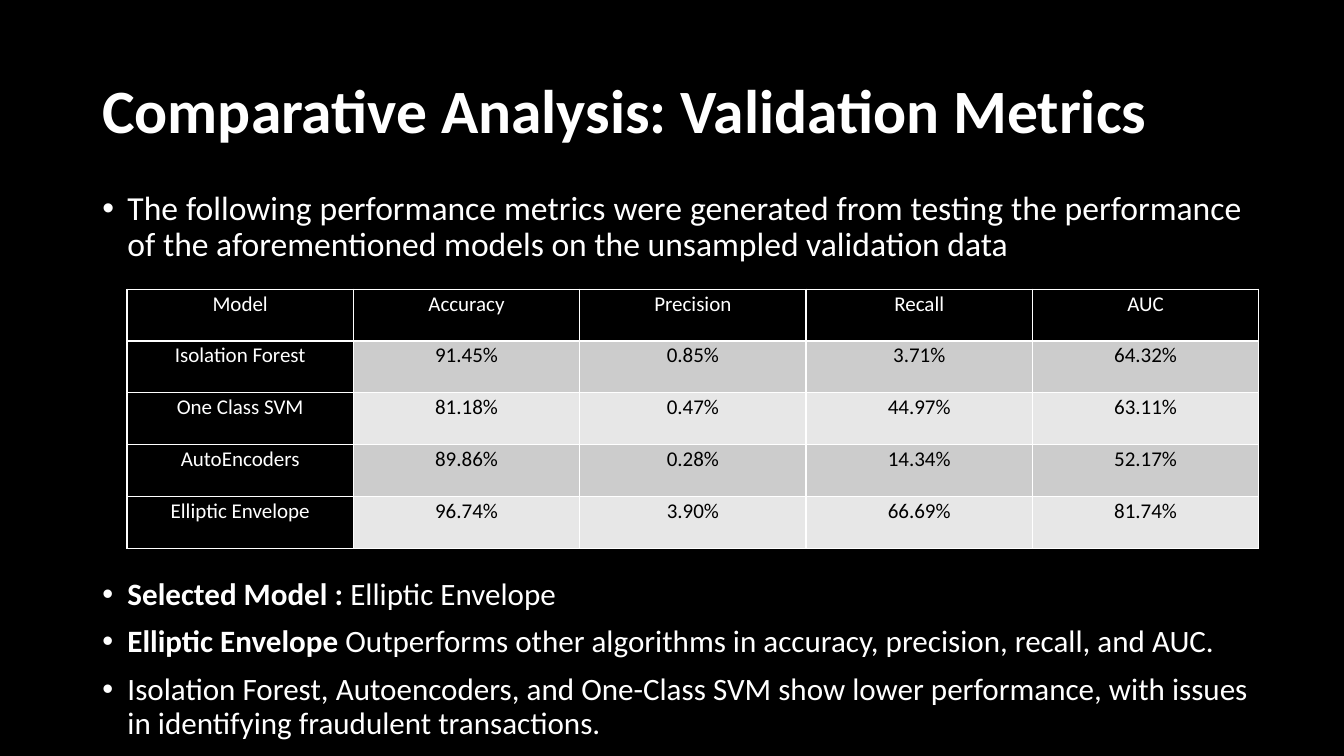
"""Build the slide that compares validation metrics of four models."""
from lxml import etree
from pptx import Presentation
from pptx.dml.color import RGBColor
from pptx.enum import text
from pptx.oxml import ns
from pptx.util import Pt

BLACK = RGBColor(0x00, 0x00, 0x00)
WHITE = RGBColor(0xFF, 0xFF, 0xFF)
DARK_BAND = RGBColor(0xCC, 0xCC, 0xCC)
LIGHT_BAND = RGBColor(0xE7, 0xE7, 0xE7)
FONT = "Calibri"
LEFT = 66
INDENT = 18
COLUMN_WIDTH = 161.7
ROW_HEIGHT = 37

METRICS = [
    ["Model", "Accuracy", "Precision", "Recall", "AUC"],
    ["Isolation Forest", "91.45%", "0.85%", "3.71%", "64.32%"],
    ["One Class SVM", "81.18%", "0.47%", "44.97%", "63.11%"],
    ["AutoEncoders", "89.86%", "0.28%", "14.34%", "52.17%"],
    ["Elliptic Envelope", "96.74%", "3.90%", "66.69%", "81.74%"],
]
INTRO = [
    [("The following performance metrics were generated from testing the performance "
      "of the aforementioned models on the unsampled validation data", False)],
]
FINDINGS = [
    [("Selected Model :", True), (" Elliptic Envelope", False)],
    [("Elliptic Envelope ", True),
     ("Outperforms other algorithms in accuracy, precision, recall, and AUC.", False)],
    [("Isolation Forest, Autoencoders, and One-Class SVM show lower performance, "
      "with issues in identifying fraudulent transactions.", False)],
]


def add_run(paragraph, words, size, color=WHITE, bold=False):
    """Append one formatted run to a paragraph."""
    run = paragraph.add_run()
    run.text = words
    run.font.name = FONT
    run.font.size = Pt(size)
    run.font.bold = bold
    run.font.color.rgb = color


def add_frame(slide, left, top, width, height):
    """Add a wrapping text box and return its text frame."""
    frame = slide.shapes.add_textbox(Pt(left), Pt(top), Pt(width), Pt(height)).text_frame
    frame.word_wrap = True
    return frame


def add_title(slide, words):
    """Add the slide heading."""
    frame = add_frame(slide, LEFT, 28.8, 828, 104.4)
    frame.vertical_anchor = text.MSO_ANCHOR.MIDDLE
    heading = frame.paragraphs[0]
    heading.line_spacing = 0.9
    add_run(heading, words, 44, bold=True)


def add_bullets(slide, items, top, width, height, size):
    """Add a justified bullet list whose items are lists of (words, bold)."""
    frame = add_frame(slide, LEFT, top, width, height)
    for index, item in enumerate(items):
        paragraph = frame.add_paragraph() if index else frame.paragraphs[0]
        paragraph.alignment = text.PP_ALIGN.JUSTIFY
        paragraph.line_spacing = 0.9
        paragraph.space_before = Pt(10)
        properties = paragraph._p.get_or_add_pPr()
        properties.set("marL", str(Pt(INDENT)))
        properties.set("indent", str(-Pt(INDENT)))
        etree.SubElement(properties, ns.qn("a:buFont"), typeface="Arial")
        etree.SubElement(properties, ns.qn("a:buChar"), char="•")
        for words, bold in item:
            add_run(paragraph, words, size, bold=bold)


def add_borders(cell, color, width):
    """Draw a solid line on all four sides of a cell."""
    properties = cell._tc.get_or_add_tcPr()
    for side in ("lnL", "lnR", "lnT", "lnB"):
        line = etree.SubElement(properties, ns.qn(f"a:{side}"), w=str(Pt(width)))
        fill = etree.SubElement(line, ns.qn("a:solidFill"))
        etree.SubElement(fill, ns.qn("a:srgbClr"), val=str(color))


def fill_cell(cell, words, background, color):
    """Format one table cell and write its text."""
    add_borders(cell, WHITE, 1)
    cell.fill.solid()
    cell.fill.fore_color.rgb = background
    cell.margin_left = cell.margin_right = Pt(5)
    cell.margin_top = cell.margin_bottom = Pt(0)
    paragraph = cell.text_frame.paragraphs[0]
    paragraph.alignment = text.PP_ALIGN.CENTER
    paragraph.line_spacing = 1.07
    paragraph.space_after = Pt(8)
    add_run(paragraph, words, 15, color)


def add_metrics_table(slide, rows, left, top):
    """Add the table with black headers and banded values."""
    row_count, column_count = len(rows), len(rows[0])
    metrics = slide.shapes.add_table(
        row_count, column_count, Pt(left), Pt(top),
        Pt(COLUMN_WIDTH * column_count), Pt(ROW_HEIGHT * row_count)).table
    for column in metrics.columns:
        column.width = Pt(COLUMN_WIDTH)
    for row_index, row in enumerate(rows):
        metrics.rows[row_index].height = Pt(ROW_HEIGHT)
        band = DARK_BAND if row_index % 2 else LIGHT_BAND
        for column_index, words in enumerate(row):
            is_header = row_index == 0 or column_index == 0
            background, color = (BLACK, WHITE) if is_header else (band, BLACK)
            fill_cell(metrics.cell(row_index, column_index), words, background, color)


def main():
    """Create the presentation and save it."""
    deck = Presentation()
    deck.slide_width, deck.slide_height = Pt(960), Pt(540)
    slide = deck.slides.add_slide(deck.slide_layouts[6])
    slide.background.fill.solid()
    slide.background.fill.fore_color.rgb = BLACK
    add_title(slide, "Comparative Analysis: Validation Metrics")
    add_bullets(slide, INTRO, 133.2, 828, 63.4, 24)
    add_metrics_table(slide, METRICS, 90.7, 206.6)
    add_bullets(slide, FINDINGS, 409.7, 833, 130.3, 22.2)
    deck.save("out.pptx")


if __name__ == "__main__":
    main()
